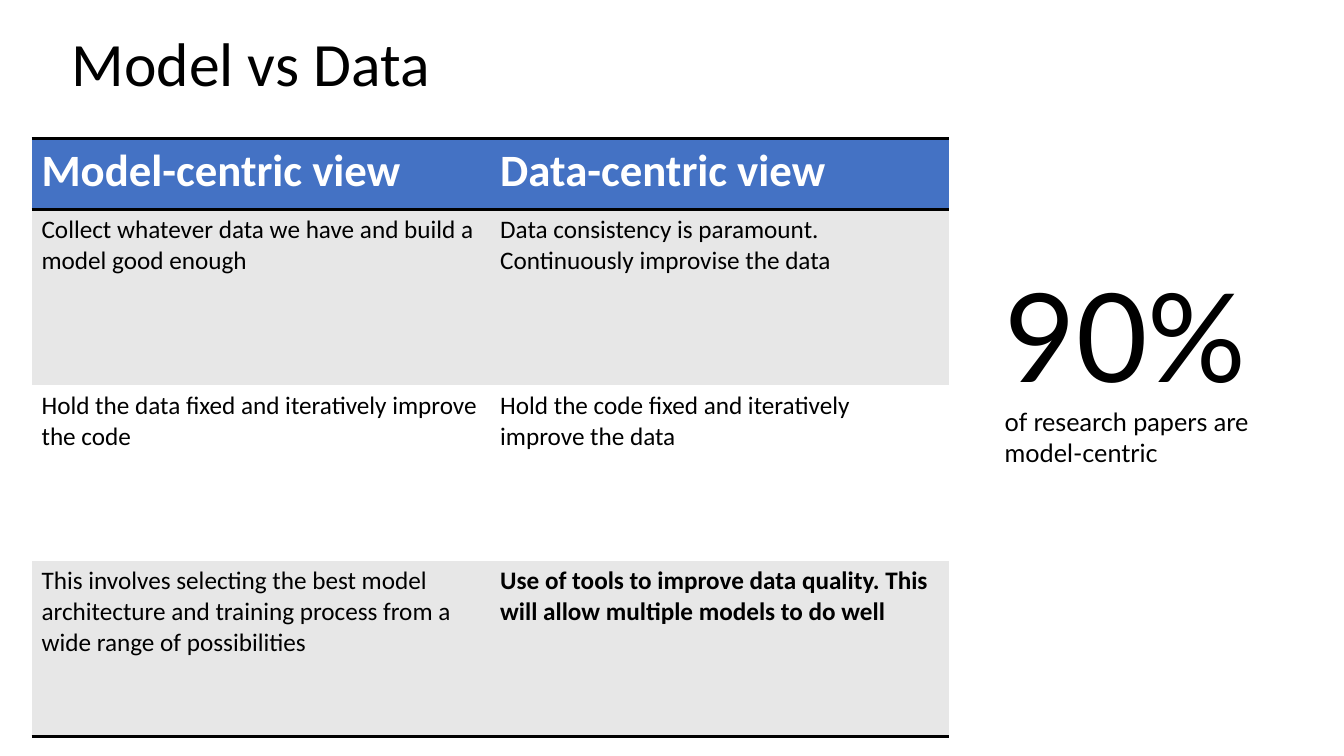
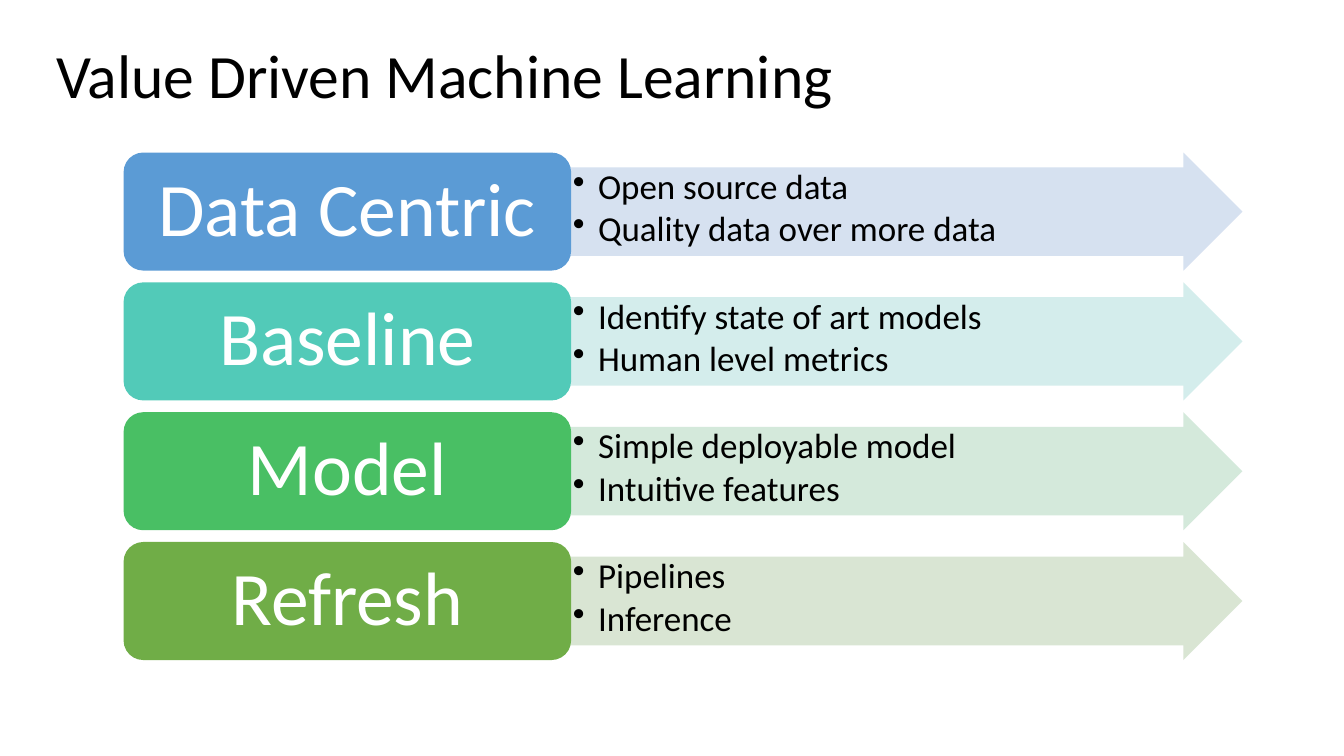
from lxml import etree
from pptx import Presentation
from pptx.dml.color import RGBColor
from pptx.enum.shapes import MSO_SHAPE
from pptx.enum.text import MSO_ANCHOR, PP_ALIGN
from pptx.oxml.ns import qn
from pptx.util import Pt

ARROW, CARD = MSO_SHAPE.RIGHT_ARROW, MSO_SHAPE.ROUNDED_RECTANGLE
TOP, MIDDLE = MSO_ANCHOR.TOP, MSO_ANCHOR.MIDDLE
LEFT, CENTER = PP_ALIGN.LEFT, PP_ALIGN.CENTER

BODY_FONT, STAT_FONT = "Calibri", "Lato"
BLACK, WHITE = "000000", "FFFFFF"
HEADER_FILL, BAND_FILL = "4472C4", "E7E7E7"
PLAIN_TABLE = "{2D5ABB26-0587-4C30-8999-92F81FD0307C}"

VIEWS = [
    ("Model-centric view", "Data-centric view"),
    ("Collect whatever data we have and build a model good enough",
     "Data consistency is paramount. Continuously improvise the data"),
    ("Hold the data fixed and iteratively improve the code",
     "Hold the code fixed and iteratively improve the data"),
    ("This involves selecting the best model architecture and training "
     "process from a wide range of possibilities",
     "Use of tools to improve data quality. This will allow multiple "
     "models to do well"),
]

STAGES = [
    ("Data Centric", "5B9BD5", "D2DEEF", ("Open source data", "Quality data over more data")),
    ("Baseline", "52CAB8", "D0ECEA", ("Identify state of art models", "Human level metrics")),
    ("Model", "49BF64", "D0E7D8", ("Simple deployable model", "Intuitive features")),
    ("Refresh", "70AD47", "D5E3CF", ("Pipelines", "Inference")),
]


def paint(target, color):
    target.solid()
    target.fore_color.rgb = RGBColor.from_string(color)


def style_paragraph(paragraph, size, color=BLACK, font=BODY_FONT, bold=False,
                    align=LEFT, spacing=None):
    paragraph.alignment = align
    if spacing:
        paragraph.line_spacing = spacing
    for run in paragraph.runs:
        run.font.name = font
        run.font.size = Pt(size)
        run.font.bold = bold
        paint(run.font.fill, color)


def set_frame(frame, anchor, side, vertical):
    frame.word_wrap = True
    frame.vertical_anchor = anchor
    frame.margin_left = frame.margin_right = Pt(side)
    frame.margin_top = frame.margin_bottom = Pt(vertical)


def add_titled_slide(deck, title, left, top):
    slide = deck.slides.add_slide(deck.slide_layouts[5])
    heading = slide.shapes.title
    heading.left, heading.top = Pt(left), Pt(top)
    heading.width, heading.height = Pt(828), Pt(104.4)
    heading.text_frame.text = title
    set_frame(heading.text_frame, MIDDLE, 7.2, 3.6)
    style_paragraph(heading.text_frame.paragraphs[0], 44, spacing=0.9)
    return slide


def add_rule(cell, side):
    properties = cell._tc.get_or_add_tcPr()
    rule = etree.SubElement(properties, qn(f"a:{side}"), w=str(Pt(2)))
    fill = etree.SubElement(rule, qn("a:solidFill"))
    etree.SubElement(fill, qn("a:srgbClr"), val=BLACK)


def add_comparison(slide, rows):
    frame = slide.shapes.add_table(
        len(rows), 2, Pt(22.5), Pt(98.8), Pt(655.2), Pt(427.2))
    for style in frame.element.iter(qn("a:tableStyleId")):
        style.text = PLAIN_TABLE
    table = frame.table
    last = len(rows) - 1
    for r, texts in enumerate(rows):
        header = r == 0
        table.rows[r].height = Pt(51 if header else 125.4)
        for c, text in enumerate(texts):
            cell = table.cell(r, c)
            cell.text = text
            if header:
                add_rule(cell, "lnT")
            if r in (0, last):
                add_rule(cell, "lnB")
            paint(cell.fill, HEADER_FILL if header else BAND_FILL if r % 2 else WHITE)
            style_paragraph(cell.text_frame.paragraphs[0], 32 if header else 18,
                            WHITE if header else BLACK,
                            bold=header or (r, c) == (last, 1))


def add_statistic(slide, figure, caption):
    statistic = slide.shapes.add_textbox(Pt(710.6), Pt(181.4), Pt(215.3), Pt(157))
    frame = statistic.text_frame
    set_frame(frame, TOP, 7.2, 3.6)
    frame.text = f"{figure}\n{caption}"
    for paragraph, size in zip(frame.paragraphs, (88, 18)):
        style_paragraph(paragraph, size, font=STAT_FONT)


def add_panel(slide, kind, left, top, width, height, color):
    panel = slide.shapes.add_shape(kind, Pt(left), Pt(top), Pt(width), Pt(height))
    panel.shadow.inherit = False
    paint(panel.fill, color)
    panel.line.fill.background()
    return panel


def add_bullet(paragraph):
    properties = paragraph._p.get_or_add_pPr()
    properties.set("marL", str(Pt(18)))
    properties.set("indent", str(-Pt(18)))
    etree.SubElement(properties, qn("a:buChar"), char="•")


def add_stage(slide, top, height, name, color, tint, points):
    arrow = add_panel(slide, ARROW, 408, top, 479.5, height, tint)
    arrow.adjustments[0] = 0.75
    arrow.adjustments[1] = 0.5
    for shade in arrow.fill._xPr.iter(qn("a:srgbClr")):
        etree.SubElement(shade, qn("a:alpha"), val="90000")
    set_frame(arrow.text_frame, TOP, 1.25, 1.25)
    arrow.text_frame.text = "\n".join(points)
    for paragraph in arrow.text_frame.paragraphs:
        add_bullet(paragraph)
        paragraph.space_after = Pt(3.5)
        style_paragraph(paragraph, 25, spacing=0.9)

    card = add_panel(slide, CARD, 88.3, top, 319.7, height, color)
    set_frame(card.text_frame, MIDDLE, 16.2, 8.1)
    card.text_frame.text = name
    style_paragraph(card.text_frame.paragraphs[0], 54, WHITE, align=CENTER, spacing=0.9)


def main():
    deck = Presentation()
    deck.slide_width, deck.slide_height = Pt(960), Pt(540)

    comparison = add_titled_slide(deck, "Model vs Data", 44, -4.5)
    add_comparison(comparison, VIEWS)
    add_statistic(comparison, "90%", "of research papers are model-centric")

    process = add_titled_slide(deck, "Value Driven Machine Learning", 33, 3.8)
    stage_height = 84.3
    for index, stage in enumerate(STAGES):
        add_stage(process, 109 + index * stage_height * 1.1, stage_height, *stage)

    deck.save("out.pptx")


if __name__ == "__main__":
    main()
